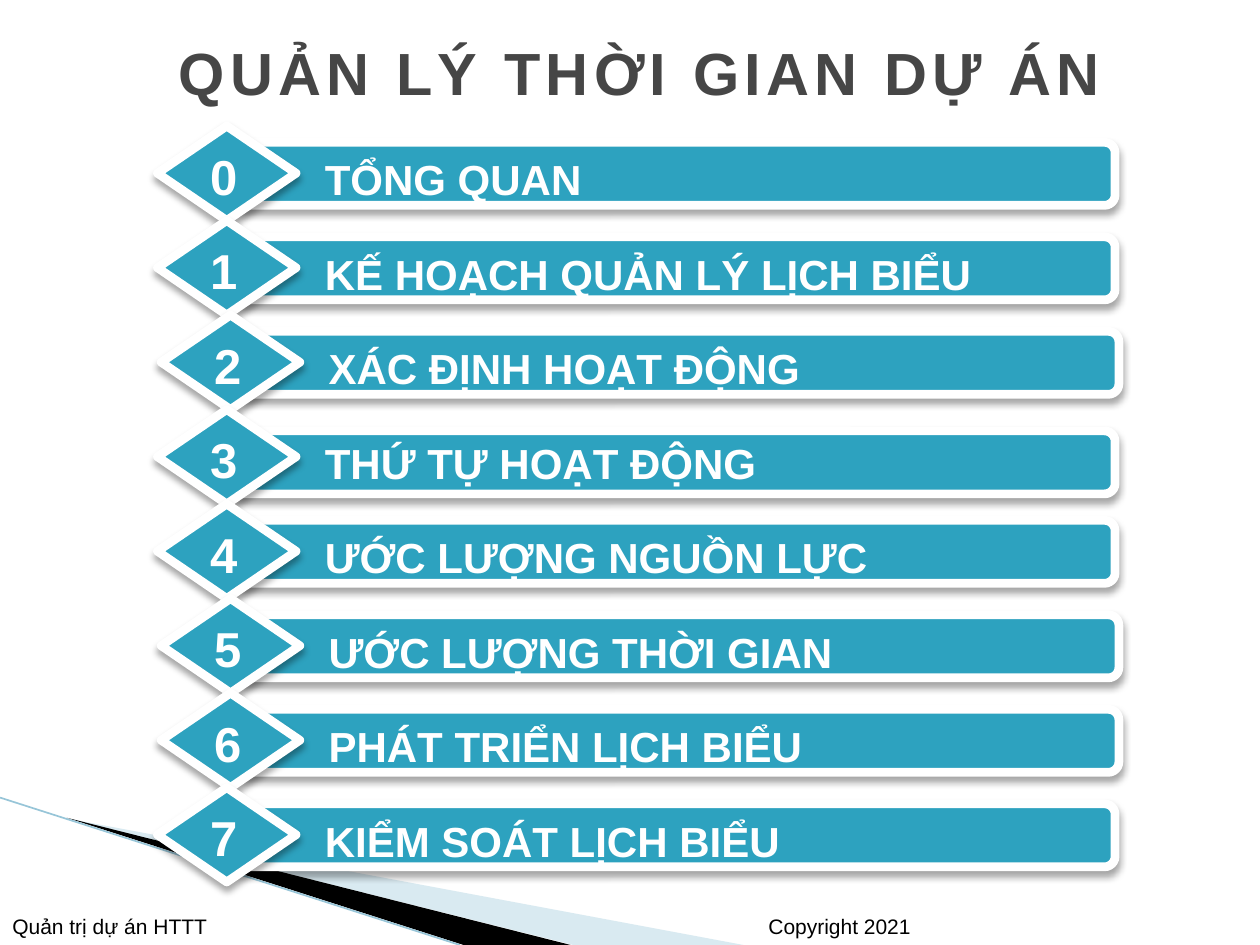
import pptx
import pptx.util
import pptx.dml.color
import pptx.enum.shapes
import pptx.enum.text
import pptx.oxml
import pptx.oxml.ns
import lxml.etree

Inches = pptx.util.Inches
Pt = pptx.util.Pt
Shape = pptx.enum.shapes.MSO_SHAPE
Anchor = pptx.enum.text.MSO_ANCHOR
Align = pptx.enum.text.PP_ALIGN
AutoSize = pptx.enum.text.MSO_AUTO_SIZE
qn = pptx.oxml.ns.qn

COLORS = {
    "teal": "2DA2BF",
    "white": "FFFFFF",
    "black": "000000",
    "title": "464646",
    "pale": "A0CBDC",
    "edge": "97C5D8",
}
TOPICS = [
    "TỔNG QUAN",
    "KẾ HOẠCH QUẢN LÝ LỊCH BIỂU",
    "XÁC ĐỊNH HOẠT ĐỘNG",
    "THỨ TỰ HOẠT ĐỘNG",
    "ƯỚC LƯỢNG NGUỒN LỰC",
    "ƯỚC LƯỢNG THỜI GIAN",
    "PHÁT TRIỂN LỊCH BIỂU",
    "KIỂM SOÁT LỊCH BIỂU",
]
INDENTED_ROWS = {2, 5, 6}
LOWERED_ROW = 3


def rgb(name):
    return pptx.dml.color.RGBColor.from_string(COLORS[name])


def write(frame, text, size=12, color="black", bold=False, align=Align.LEFT,
          anchor=Anchor.TOP, wrap=True, fit=AutoSize.NONE, spacing=0):
    frame.word_wrap = wrap
    frame.auto_size = fit
    frame.vertical_anchor = anchor
    paragraph = frame.paragraphs[0]
    paragraph.alignment = align
    run = paragraph.add_run()
    run.text = text
    run.font.name = "Arial"
    run.font.size = Pt(size)
    run.font.bold = bold
    run.font.color.rgb = rgb(color)
    if spacing:
        run.font._element.set("spc", str(spacing * 100))


class AgendaSlide:
    def __init__(self, deck):
        self.slide = deck.slides.add_slide(deck.slide_layouts[5])
        self.shapes = self.slide.shapes

    def title(self, text, left, top, width, height):
        heading = self.shapes.title
        heading.left, heading.top = Inches(left), Inches(top)
        heading.width, heading.height = Inches(width), Inches(height)
        write(heading.text_frame, text, size=34, color="title", bold=True,
              align=Align.CENTER, anchor=Anchor.MIDDLE, spacing=3)

    def wedge(self, points, color, opacity=100):
        corners = [(Inches(x), Inches(y)) for x, y in points]
        builder = self.shapes.build_freeform(*corners[0], scale=1.0)
        builder.add_line_segments(corners[1:], close=True)
        wedge = builder.convert_to_shape()
        wedge.shadow.inherit = False
        wedge.fill.solid()
        wedge.fill.fore_color.rgb = rgb(color)
        wedge.line.fill.background()
        if opacity < 100:
            fill_color = wedge._element.spPr.find(f"{qn('a:solidFill')}/{qn('a:srgbClr')}")
            lxml.etree.SubElement(fill_color, qn("a:alpha")).set("val", str(opacity * 1000))

    def line(self, start, end, color, width):
        edge = self.shapes.add_connector(
            pptx.enum.shapes.MSO_CONNECTOR.STRAIGHT,
            *(Inches(value) for value in start + end))
        edge.line.color.rgb = rgb(color)
        edge.line.width = Pt(width)
        lxml.etree.SubElement(edge._element.spPr, qn("a:effectLst"))

    def text(self, text, left, top, width, height, parent=None, **style):
        box = (parent or self.shapes).add_textbox(
            Inches(left), Inches(top), Inches(width), Inches(height))
        write(box.text_frame, text, **style)

    def plate(self, parent, preset, left, top, width, height):
        plate = parent.add_shape(
            preset, Inches(left), Inches(top), Inches(width), Inches(height))
        plate.fill.solid()
        plate.fill.fore_color.rgb = rgb("teal")
        plate.line.color.rgb = rgb("white")
        plate.line.width = Pt(5)
        outline = plate._element.spPr.find(qn("a:ln"))
        lxml.etree.SubElement(outline, qn("a:round"))
        plate.shadow.inherit = False
        effects = plate._element.spPr.find(qn("a:effectLst"))
        shadow = lxml.etree.SubElement(effects, qn("a:outerShdw"))
        for key, value in (("blurRad", Pt(4)), ("dist", Pt(3)),
                           ("dir", 90 * 60000), ("rotWithShape", 0)):
            shadow.set(key, str(int(value)))
        shade = lxml.etree.SubElement(shadow, qn("a:srgbClr"))
        shade.set("val", COLORS["black"])
        lxml.etree.SubElement(shade, qn("a:alpha")).set("val", "35000")

    def topic(self, number, text):
        left = 1.28 if number in INDENTED_ROWS else 1.25
        top = 1 + 0.75 * number
        bar_drop = 0.17 if number == LOWERED_ROW else 0.13
        row = self.shapes.add_group_shape().shapes
        self.plate(row, Shape.ROUNDED_RECTANGLE, left + 0.61, top + bar_drop, 6.99, 0.5)
        self.plate(row, Shape.DIAMOND, left, top, 1.1, 0.75)
        style = dict(color="white", bold=True, fit=AutoSize.SHAPE_TO_FIT_TEXT)
        self.text(text, left + 1.23, top + 0.17, 6.74, 0.51, row, size=24, **style)
        self.text(str(number), left + 0.32, top + 0.11, 0.42, 0.57, row, size=28,
                  align=Align.CENTER, wrap=False, **style)


def main():
    deck = pptx.Presentation()
    deck.slide_width, deck.slide_height = Inches(10), Inches(7.5)
    agenda = AgendaSlide(deck)
    agenda.title("QUẢN LÝ THỜI GIAN DỰ ÁN", 0.83, 0.08, 8.5, 0.98)
    agenda.wedge([(0.55, 6.5), (5.9, 7.5), (4.55, 7.5)], "pale", opacity=40)
    agenda.wedge([(0.53, 6.49), (4.53, 7.5), (3.68, 7.5)], "black")
    agenda.line((0, 6.33), (3.65, 7.5), "edge", 0.95)
    agenda.text("Copyright 2021", 6, 7.1, 1.75, 0.4, anchor=Anchor.BOTTOM)
    agenda.text("Quản trị dự án HTTT", 0, 7.1, 2.83, 0.4, anchor=Anchor.BOTTOM)
    for number, text in enumerate(TOPICS):
        agenda.topic(number, text)
    deck.save("out.pptx")


if __name__ == "__main__":
    main()
